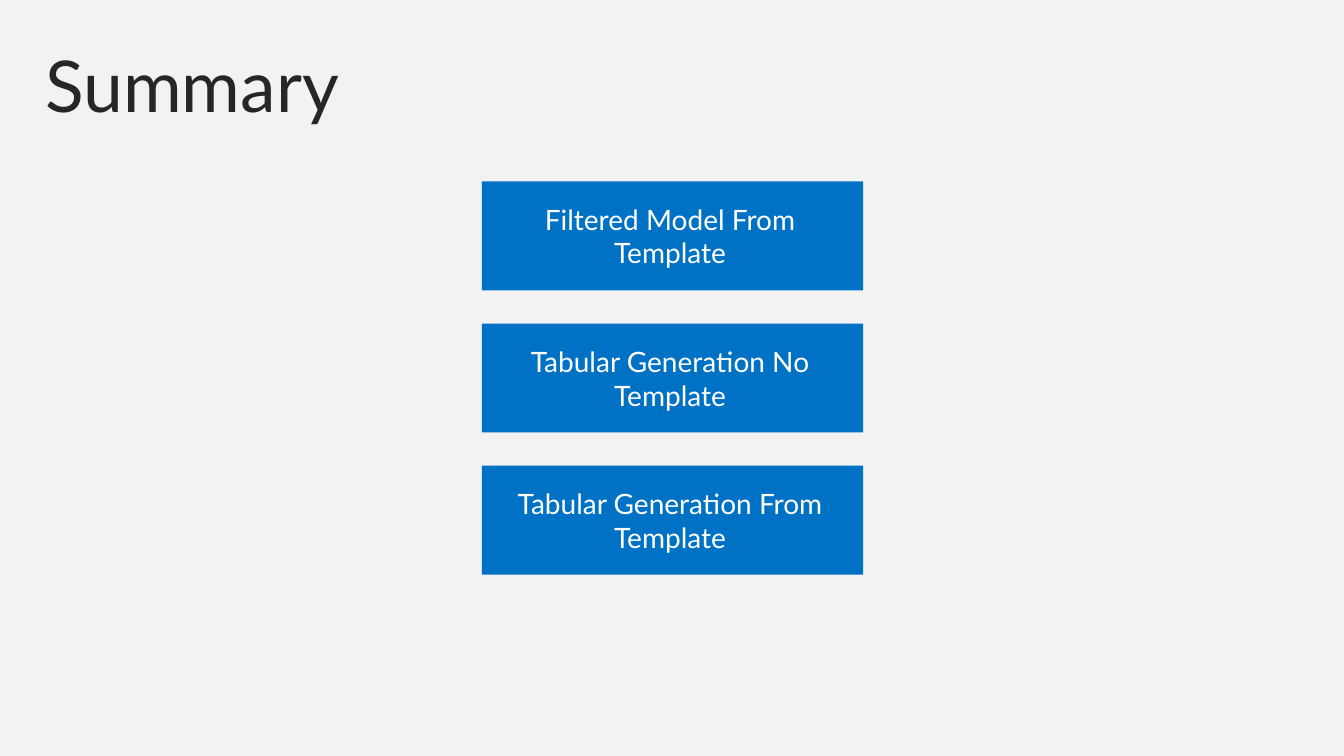
from pptx import Presentation
from pptx.dml.color import RGBColor
from pptx.enum.shapes import MSO_SHAPE
from pptx.enum.text import MSO_ANCHOR, MSO_AUTO_SIZE, PP_ALIGN
from pptx.util import Inches, Pt

RECT = MSO_SHAPE.RECTANGLE
TOP, MIDDLE = MSO_ANCHOR.TOP, MSO_ANCHOR.MIDDLE
LEFT, CENTER = PP_ALIGN.LEFT, PP_ALIGN.CENTER
NO_FIT = MSO_AUTO_SIZE.NONE

TITLE = "Summary"
TOPICS = [
    "Filtered Model From Template",
    "Tabular Generation No Template",
    "Tabular Generation From Template",
]
FONT = "Lato"
BACKGROUND, INK, BLUE, WHITE = "F2F2F2", "262626", "0072C6", "FFFFFF"
BOX_LEFT, BOX_TOP, BOX_W, BOX_H = 4.78, 1.8, 3.78, 1.08
BOX_STEP = 1.41


def paint(fill, color):
    fill.solid()
    fill.fore_color.rgb = RGBColor.from_string(color)


def write(sp, text, size, color, align, anchor, insets):
    tf = sp.text_frame
    tf.word_wrap = True
    tf.auto_size = NO_FIT
    tf.vertical_anchor = anchor
    tf.margin_left, tf.margin_top, tf.margin_right, tf.margin_bottom = map(Inches, insets)
    p = tf.paragraphs[0]
    p.alignment = align
    r = p.add_run()
    r.text = text
    r.font.name = FONT
    r.font.size = Pt(size)
    r.font.color.rgb = RGBColor.from_string(color)


def main():
    prs = Presentation()
    prs.slide_width, prs.slide_height = Inches(13.33), Inches(7.5)
    s = prs.slides.add_slide(prs.slide_layouts[5])
    paint(s.background.fill, BACKGROUND)

    title = s.shapes.title
    title.left, title.top = Inches(0.29), Inches(0.31)
    title.width, title.height = Inches(12.74), Inches(1.01)
    write(title, TITLE, 51, INK, LEFT, TOP, (0.16, 0.1, 0.16, 0.1))

    for i, topic in enumerate(TOPICS):
        y = BOX_TOP + i * BOX_STEP
        sp = s.shapes.add_shape(RECT, Inches(BOX_LEFT), Inches(y), Inches(BOX_W), Inches(BOX_H))
        sp.shadow.inherit = False
        paint(sp.fill, BLUE)
        sp.line.fill.background()
        write(sp, topic, 20, WHITE, CENTER, MIDDLE, (0.05, 0.05, 0.1, 0.05))

    prs.save("out.pptx")


if __name__ == "__main__":
    main()
